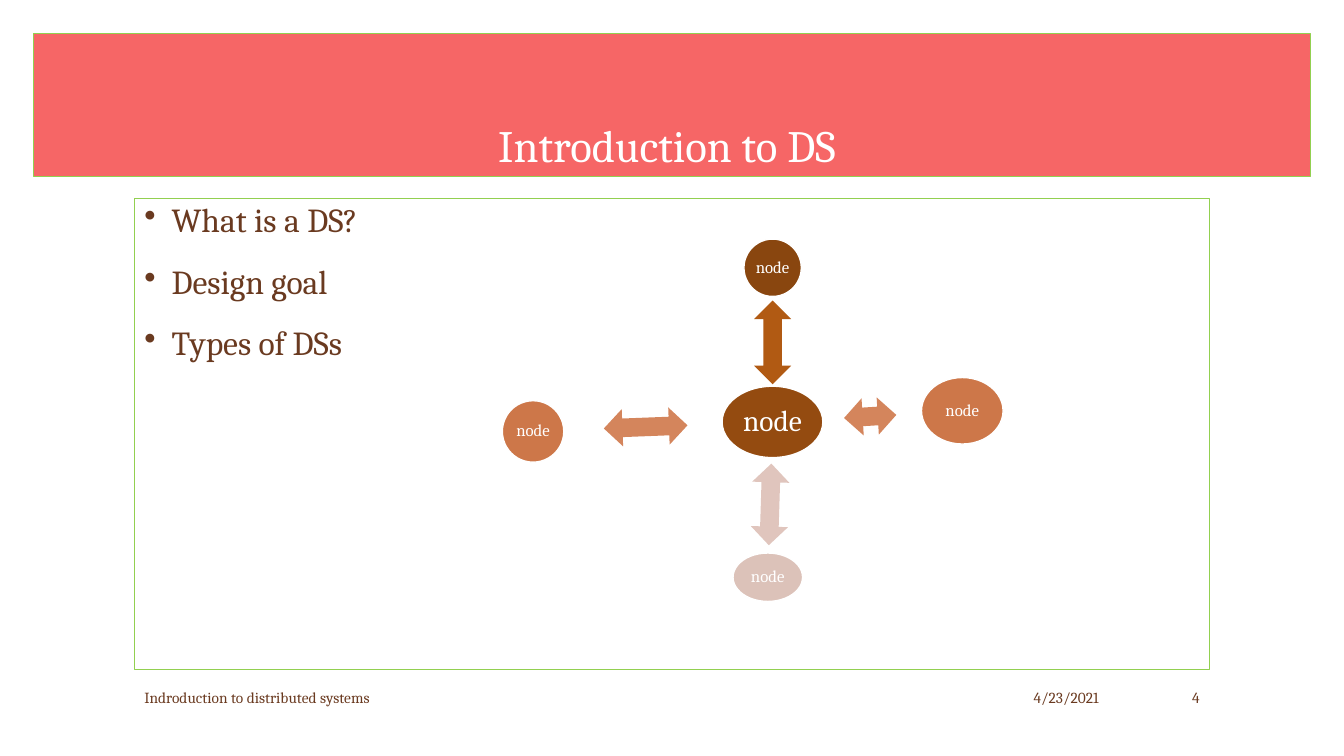
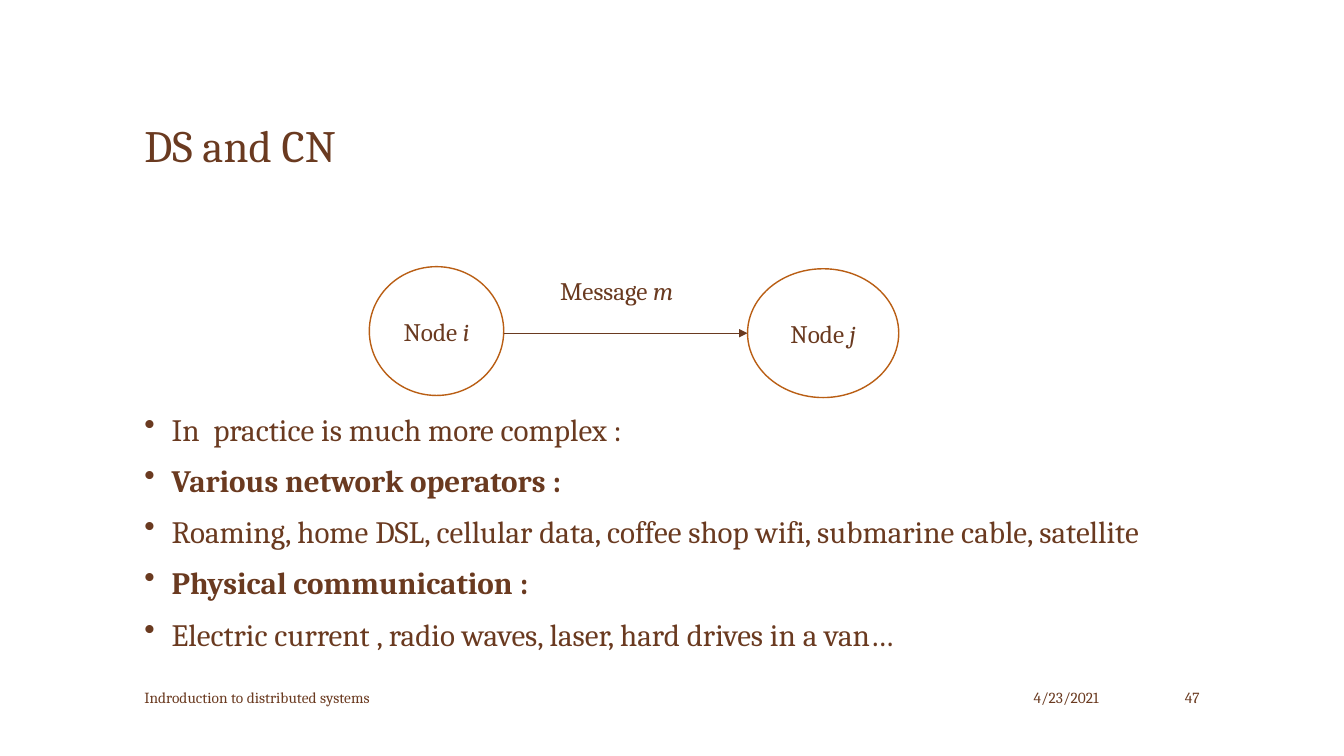
from dataclasses import dataclass
from lxml.etree import SubElement
from pptx import Presentation
from pptx.dml.color import RGBColor
from pptx.enum.shapes import MSO_CONNECTOR as Connector, MSO_SHAPE as Shape
from pptx.enum.text import MSO_ANCHOR as Anchor, PP_ALIGN as Align
from pptx.oxml.ns import qn
from pptx.util import Pt


@dataclass(frozen=True)
class Theme:
    font: str = "Cambria"
    text: str = "6A3A20"
    white: str = "FFFFFF"
    band: str = "F66666"
    frame: str = "92D050"
    circle: str = "B95E14"
    hub: str = "944B10"
    north: str = "89460F"
    north_arrow: str = "B15A13"
    side: str = "CD7749"
    side_arrow: str = "D4855C"
    south: str = "DCC2B9"
    south_arrow: str = "E0C5BD"
    title: float = 32
    body: float = 24
    dense: float = 22.2
    hub_label: float = 21
    label: float = 18
    small: float = 12
    footer: float = 11


theme = Theme()


def paint(shape, fill=None, line=None, width=1):
    if fill:
        shape.fill.solid()
        shape.fill.fore_color.rgb = RGBColor.from_string(fill)
    else:
        shape.fill.background()
    if line:
        shape.line.color.rgb = RGBColor.from_string(line)
        shape.line.width = Pt(width)
    else:
        shape.line.fill.background()
    shape.shadow.inherit = False


def write(shape, lines, size, color=theme.text, frame_format=None,
          bulleted=False, **paragraph_format):
    frame = shape.text_frame
    for name, value in {"word_wrap": True, **(frame_format or {})}.items():
        setattr(frame, name, value)
    for index, runs in enumerate(lines):
        paragraph = frame.paragraphs[0] if index == 0 else frame.add_paragraph()
        if bulleted:
            properties = paragraph._p.get_or_add_pPr()
            properties.set("marL", str(Pt(19.5)))
            properties.set("indent", str(-Pt(19.5)))
            bullet_color = SubElement(properties, qn("a:buClr"))
            SubElement(bullet_color, qn("a:srgbClr"), val=theme.text)
            SubElement(properties, qn("a:buChar"), char="•")
            paragraph.space_before = Pt(18 if index else 0)
        for name, value in paragraph_format.items():
            setattr(paragraph, name, value)
        for words, emphasis in runs:
            run = paragraph.add_run()
            run.text = words
            run.font.color.rgb = RGBColor.from_string(color)
            font_format = {"name": theme.font, "size": Pt(size), **emphasis}
            for name, value in font_format.items():
                setattr(run.font, name, value)


deck = Presentation()
deck.slide_width, deck.slide_height = Pt(960), Pt(540)
blank = deck.slide_layouts[6]
intro, networks = deck.slides.add_slide(blank), deck.slides.add_slide(blank)
middle = {"vertical_anchor": Anchor.MIDDLE}
bottom = {"vertical_anchor": Anchor.BOTTOM}
tight = {"vertical_anchor": Anchor.MIDDLE, "word_wrap": False,
         "margin_left": 0, "margin_right": 0, "margin_top": 0, "margin_bottom": 0}

title_band = intro.shapes.add_textbox(Pt(24), Pt(24), Pt(912), Pt(102))
paint(title_band, theme.band, theme.frame, 0.75)
write(title_band, [[("Introduction to DS ", {})]], theme.title, theme.white,
      bottom, alignment=Align.CENTER)

topics = intro.shapes.add_textbox(Pt(96), Pt(142), Pt(768), Pt(336))
paint(topics, line=theme.frame, width=0.75)
write(topics, [[(topic, {})] for topic in ("What is a DS?", "Design goal", "Types of DSs")],
      theme.body, bulleted=True, line_spacing=0.9)

nodes = [
    (515.8, 275.9, 72, 51, theme.hub, theme.hub_label),
    (531.4, 170.8, 41, 41, theme.north, theme.small),
    (658.2, 269.7, 58.3, 47.5, theme.side, theme.small),
    (523.6, 395, 49.7, 34.6, theme.south, theme.small),
    (358.8, 286.2, 43.9, 43.9, theme.side, theme.small),
]
for left, top, width, height, color, size in nodes:
    node = intro.shapes.add_shape(Shape.OVAL, Pt(left), Pt(top), Pt(width), Pt(height))
    paint(node, color, theme.white)
    write(node, [[("node", {})]], size, theme.white, tight,
          alignment=Align.CENTER, line_spacing=0.9)

links = [
    (522, 231.3, 59.8, 270, theme.north_arrow),
    (602.9, 284.2, 37.4, 356.6, theme.side_arrow),
    (520.9, 347, 58.3, 91.8, theme.south_arrow),
    (431.3, 291.6, 59.8, 177.8, theme.side_arrow),
]
for left, top, length, angle, color in links:
    link = intro.shapes.add_shape(Shape.LEFT_RIGHT_ARROW, Pt(left), Pt(top), Pt(length), Pt(26.6))
    link.rotation = angle
    paint(link, color)

title = networks.shapes.add_textbox(Pt(96), Pt(34), Pt(768), Pt(92))
write(title, [[("DS and CN", {})]], theme.title, frame_format=bottom)

practice = networks.shapes.add_textbox(Pt(96), Pt(296.6), Pt(768), Pt(181.4))
write(practice, [
    [("In  practice is much more complex :", {})],
    [("Various network operators :", {"bold": True})],
    [("Roaming, home DSL, cellular data, coffee shop wifi, submarine cable, satellite", {})],
    [("Physical communication :", {"bold": True})],
    [("Electric current , radio waves, laser, hard drives in a van…", {})],
], theme.dense, bulleted=True, line_spacing=0.7)

for letter, left, top, width in (("i", 263.8, 190.5, 96), ("j", 534, 192, 108)):
    endpoint = networks.shapes.add_shape(Shape.OVAL, Pt(left), Pt(top), Pt(width), Pt(92))
    paint(endpoint, theme.white, theme.circle)
    write(endpoint, [[("Node ", {}), (letter, {"italic": True})]], theme.label,
          frame_format=middle, alignment=Align.CENTER)

channel = networks.shapes.add_connector(
    Connector.STRAIGHT, Pt(359.8), Pt(238), Pt(534), Pt(238))
channel.line.color.rgb = RGBColor.from_string(theme.text)
channel.line.width = Pt(0.5)
channel_properties = channel._element.spPr
SubElement(channel_properties.get_or_add_ln(), qn("a:tailEnd"), type="triangle")
SubElement(channel_properties, qn("a:effectLst"))

message = networks.shapes.add_textbox(Pt(393), Pt(193), Pt(108), Pt(29))
write(message, [[("Message ", {}), ("m", {"italic": True})]], theme.label)

for slide, number in ((intro, "4"), (networks, "47")):
    footers = [
        ("4/23/2021", 696, 96, Align.RIGHT),
        ("Indroduction to distributed systems", 96, 584, Align.LEFT),
        (number, 808, 56, Align.RIGHT),
    ]
    for words, left, width, alignment in footers:
        footer = slide.shapes.add_textbox(Pt(left), Pt(486), Pt(width), Pt(24))
        write(footer, [[(words, {})]], theme.footer, frame_format=middle, alignment=alignment)

deck.save("out.pptx")
